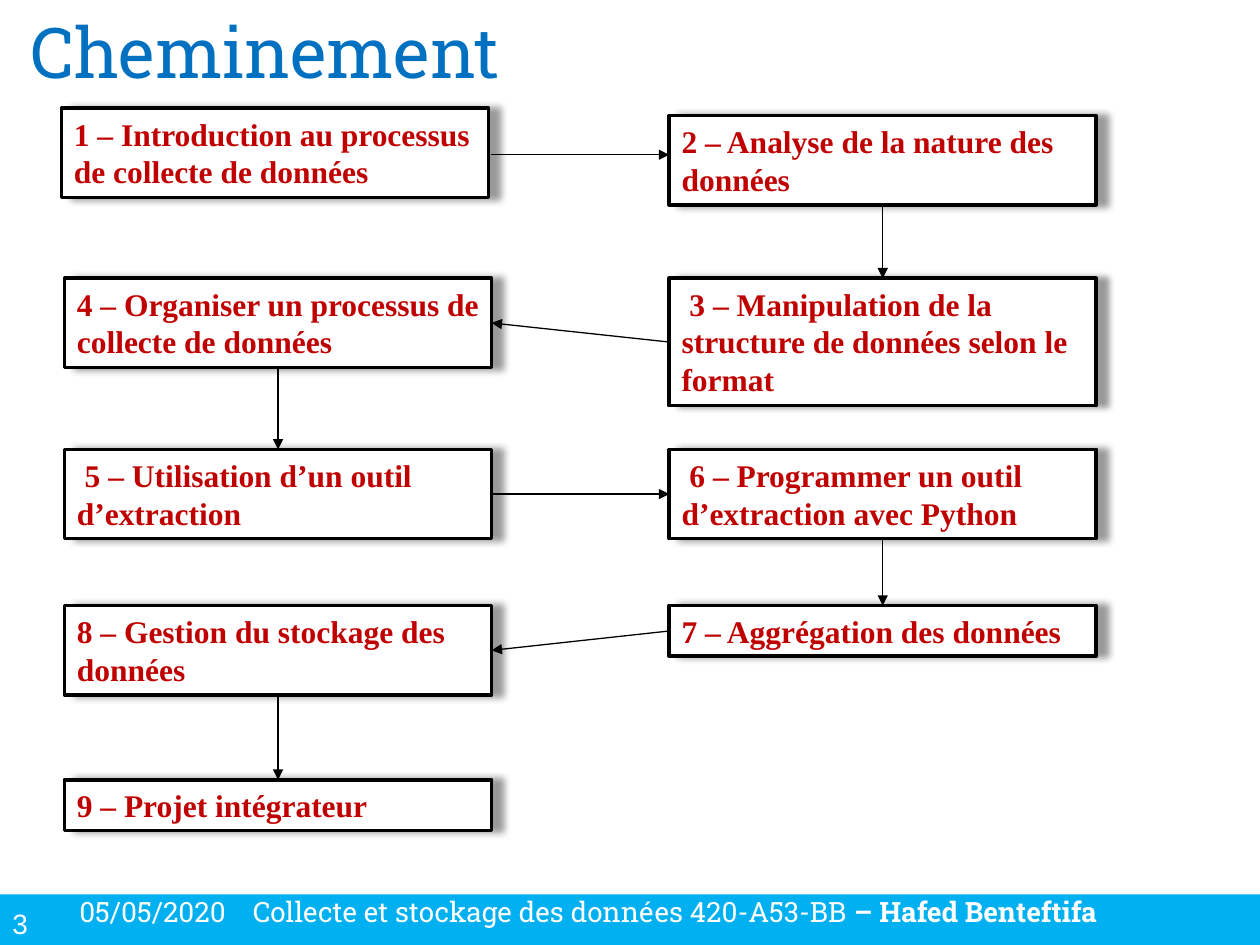
from lxml.etree import SubElement
from pptx import Presentation
from pptx.dml.color import RGBColor
from pptx.enum.shapes import MSO_CONNECTOR, MSO_SHAPE
from pptx.enum.text import MSO_ANCHOR, PP_ALIGN
from pptx.oxml import parse_xml
from pptx.oxml.ns import nsdecls, qn
from pptx.util import Cm, Pt


def color(value):
    return RGBColor.from_string(value)


def write(shape, *runs, font="Roboto Slab", size=16, ink="FFFFFF", bold=False,
          anchor=MSO_ANCHOR.TOP, top=0.13):
    """Fill the shape with one paragraph; only the last of several runs is bold."""
    frame = shape.text_frame
    frame.word_wrap = True
    frame.vertical_anchor = anchor
    frame.margin_top = Cm(top)
    paragraph = frame.paragraphs[0]
    paragraph.alignment = PP_ALIGN.LEFT
    for index, text in enumerate(runs):
        run = paragraph.add_run()
        run.text = text
        run.font.name = font
        run.font.size = Pt(size)
        run.font.bold = bold or index > 0
        run.font.color.rgb = color(ink)
    return paragraph


presentation = Presentation()
presentation.slide_width = Cm(25.4)
presentation.slide_height = Cm(19.05)
slide = presentation.slides.add_slide(presentation.slide_layouts[6])
shapes = slide.shapes

# Footer band
band = shapes.add_shape(MSO_SHAPE.RECTANGLE, 0, Cm(18.03), Cm(25.4), Cm(1.02))
band.shadow.inherit = False
band.fill.solid()
band.fill.fore_color.rgb = color("00B0F0")
band.line.fill.background()

# Page number, then date and course separated by a tab stop
number = shapes.add_textbox(0, Cm(18.14), Cm(1.47), Cm(0.9))
write(number, "3", font="Arial")
footer = shapes.add_textbox(Cm(1.35), Cm(17.96), Cm(24.05), Cm(0.95))
paragraph = write(footer, "05/05/2020\tCollecte et stockage des données 420-A53-BB",
                  " – Hafed Benteftifa", top=0.08)
tabs = SubElement(paragraph._p.get_or_add_pPr(), qn("a:tabLst"))
SubElement(tabs, qn("a:tab"), pos=str(Cm(3.5)), algn="l")

# Title
title = shapes.add_textbox(Cm(0.36), Cm(0.13), Cm(24.59), Cm(2.36))
write(title, "Cheminement", size=40, ink="0070C0", top=0.05)

# Steps: text, left, top, number of text lines
LEFT, RIGHT = 1.3, 13.49
HEIGHTS = {1: 1.02, 2: 1.8, 3: 2.57}
steps = [
    ("1 – Introduction au processus de collecte de données", 1.24, 2.18, 2),
    ("2 – Analyse de la nature des données", RIGHT, 2.33, 2),
    (" 3 – Manipulation de la structure de données selon le format", RIGHT, 5.61, 3),
    ("4 – Organiser un processus de collecte de données", LEFT, 5.61, 2),
    (" 5 – Utilisation d’un outil d’extraction", LEFT, 9.06, 2),
    (" 6 – Programmer un outil d’extraction avec Python", RIGHT, 9.06, 2),
    ("7 – Aggrégation des données", RIGHT, 12.21, 1),
    ("8 – Gestion du stockage des données", LEFT, 12.21, 2),
    ("9 – Projet intégrateur", LEFT, 15.72, 1),
]
boxes = []
for text, left, top, lines in steps:
    box = shapes.add_shape(MSO_SHAPE.RECTANGLE, Cm(left), Cm(top), Cm(8.61), Cm(HEIGHTS[lines]))
    box.fill.solid()
    box.fill.fore_color.rgb = color("FFFFFF")
    box.line.color.rgb = color("000000")
    box.line.width = Pt(2)
    box._element.spPr.append(parse_xml(
        f'<a:effectLst {nsdecls("a")}><a:outerShdw blurRad="{Pt(4)}" dist="{Pt(6)}" dir="0" '
        'algn="l" rotWithShape="0"><a:srgbClr val="000000"><a:alpha val="40000"/></a:srgbClr>'
        '</a:outerShdw></a:effectLst>'))
    write(box, text, font="Times New Roman", size=18, ink="C00000", bold=True)
    boxes.append(box)

# Arrows from each step to the next: start side, end side (None: the level first arrow)
TOP_SIDE, LEFT_SIDE, BOTTOM_SIDE, RIGHT_SIDE = range(4)
down = (BOTTOM_SIDE, TOP_SIDE)
leftward = (LEFT_SIDE, RIGHT_SIDE)
rightward = (RIGHT_SIDE, LEFT_SIDE)
routes = [None, down, leftward, down, rightward, down, leftward, down]
for start, end, route in zip(boxes, boxes[1:], routes):
    arrow = shapes.add_connector(MSO_CONNECTOR.STRAIGHT, Cm(9.9), Cm(3.12), Cm(RIGHT), Cm(3.12))
    if route:
        arrow.begin_connect(start, route[0])
        arrow.end_connect(end, route[1])
    arrow.line.color.rgb = color("000000")
    arrow.line.width = Pt(0.75)
    SubElement(arrow.line._get_or_add_ln(), qn("a:tailEnd"), type="triangle")
    SubElement(arrow._element.spPr, qn("a:effectLst"))

presentation.save("out.pptx")
